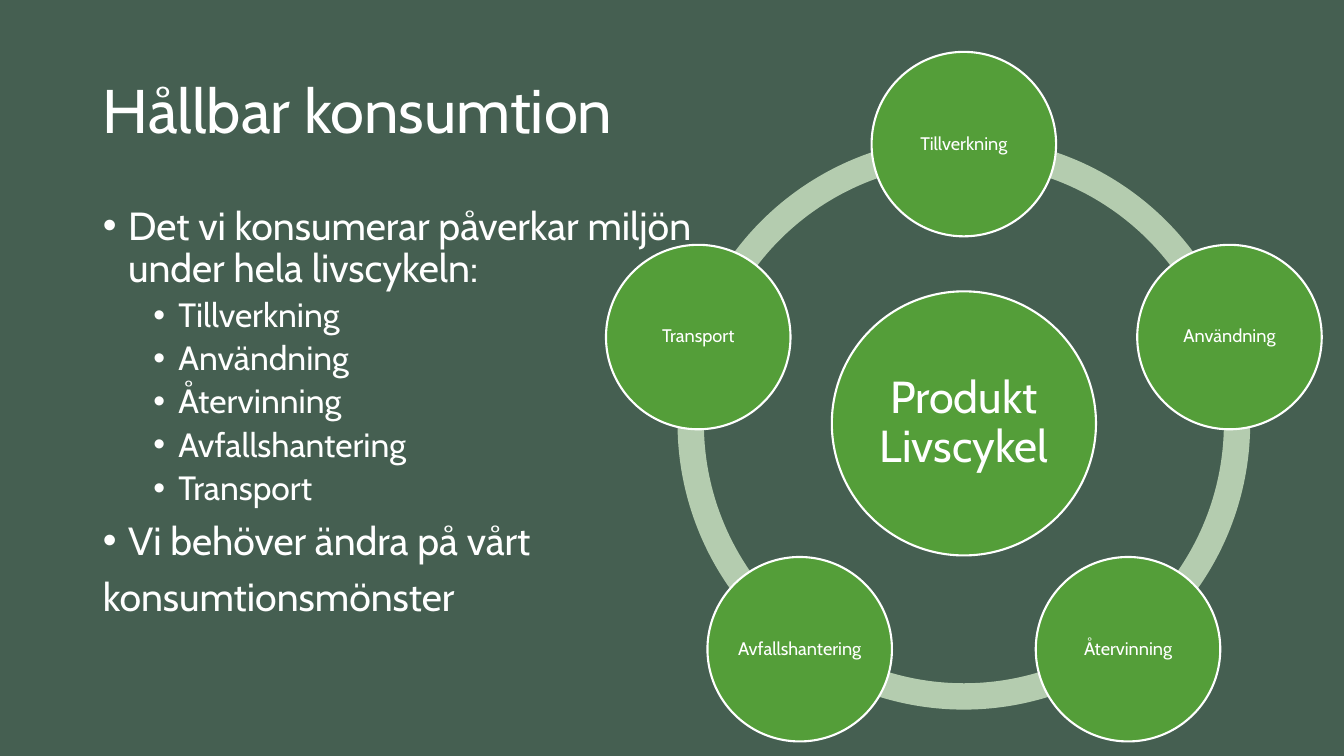
from dataclasses import dataclass
from math import cos, radians, sin

from lxml.etree import SubElement
from pptx import Presentation
from pptx.dml.color import RGBColor
from pptx.enum.shapes import MSO_SHAPE
from pptx.enum.text import MSO_ANCHOR, MSO_AUTO_SIZE, PP_ALIGN
from pptx.oxml.ns import qn
from pptx.util import Inches, Pt


@dataclass(frozen=True)
class Theme:
    """Colours, font and type sizes of the slide."""
    back: str = "455F51"
    text: str = "FFFFFF"
    node: str = "549E39"
    ring: str = "B4CCAF"
    font: str = "Cabin"
    title: int = 44
    body: int = 28
    sub: int = 24
    hub: int = 32
    label: int = 13


THEME = Theme()


def write(para, text, size, align=PP_ALIGN.LEFT, before=0, left=0, bullet=None):
    """Fill a paragraph with formatted text."""
    props = para._p.get_or_add_pPr()
    props.set("marL", str(Inches(left)))
    props.set("indent", str(Inches(-0.25 if bullet else 0)))
    if bullet:
        SubElement(props, qn("a:buChar")).set("char", bullet)
    else:
        SubElement(props, qn("a:buNone"))
    para.alignment = align
    para.line_spacing = 0.9
    para.space_before = Pt(before)
    run = para.add_run()
    run.text = text
    run.font.name = THEME.font
    run.font.size = Pt(size)
    run.font.color.rgb = RGBColor.from_string(THEME.text)


class Board:
    """Draws the elements of one slide in a given theme."""

    def __init__(self, slide, theme):
        """Keep the slide and theme and paint the background."""
        self.slide, self.theme = slide, theme
        fill = slide.background.fill
        fill.solid()
        fill.fore_color.rgb = RGBColor.from_string(theme.back)

    def place(self, holder, box, anchor):
        """Move a placeholder and return its text frame."""
        holder.left, holder.top, holder.width, holder.height = map(Inches, box)
        frame = holder.text_frame
        frame.word_wrap = True
        frame.auto_size = MSO_AUTO_SIZE.NONE
        frame.vertical_anchor = anchor
        return frame

    def title(self, text, box):
        """Write the title."""
        frame = self.place(self.slide.shapes.title, box, MSO_ANCHOR.MIDDLE)
        write(frame.paragraphs[0], text, self.theme.title)

    def body(self, items, box):
        """Write the list from pairs of style and text."""
        styles = {
            "main": dict(size=self.theme.body, before=10, left=0.25, bullet="•"),
            "sub": dict(size=self.theme.sub, before=5, left=0.75, bullet="•"),
            "plain": dict(size=self.theme.body, before=10),
        }
        frame = self.place(self.slide.placeholders[1], box, MSO_ANCHOR.TOP)
        for i, (kind, text) in enumerate(items):
            para = frame.add_paragraph() if i else frame.paragraphs[0]
            para.level = int(kind == "sub")
            style = styles[kind] if i else {**styles[kind], "before": 0}
            write(para, text, **style)

    def round(self, kind, x, y, size, color):
        """Add a filled square-framed shape centred on a point."""
        shape = self.slide.shapes.add_shape(
            kind, Inches(x - size / 2), Inches(y - size / 2), Inches(size), Inches(size))
        shape.shadow.inherit = False
        shape.fill.solid()
        shape.fill.fore_color.rgb = RGBColor.from_string(color)
        shape.line.fill.background()
        return shape

    def arc(self, x, y, size, start, end):
        """Add one ring segment between two angles in degrees."""
        shape = self.round(MSO_SHAPE.BLOCK_ARC, x, y, size, self.theme.ring)
        for i, value in enumerate((start % 360 * 0.6, end % 360 * 0.6, 0.046)):
            shape.adjustments[i] = value

    def node(self, text, x, y, size, type_size, inset):
        """Add a labelled circle."""
        shape = self.round(MSO_SHAPE.OVAL, x, y, size, self.theme.node)
        shape.line.color.rgb = RGBColor.from_string(self.theme.text)
        shape.line.width = Pt(1.5)
        frame = shape.text_frame
        frame.word_wrap = True
        frame.vertical_anchor = MSO_ANCHOR.MIDDLE
        frame.margin_left = frame.margin_right = Inches(inset)
        frame.margin_top = frame.margin_bottom = Inches(inset)
        write(frame.paragraphs[0], text, type_size, align=PP_ALIGN.CENTER)

    def cycle(self, hub, labels, x, y, radius):
        """Draw the ring, the hub and evenly spaced nodes."""
        step = 360 / len(labels)
        turns = [270 + step * i for i in range(len(labels))]
        for turn in turns:
            self.arc(x, y, 5.68, turn, turn + step)
        self.node(hub, x, y, 2.62, self.theme.hub, 0.04)
        for label, turn in zip(labels, turns):
            angle = radians(turn)
            self.node(label, x + radius * cos(angle), y + radius * sin(angle),
                      1.83, self.theme.label, 0.02)


def main():
    """Build and save the slide."""
    deck = Presentation()
    deck.slide_width, deck.slide_height = Inches(13.33), Inches(7.5)
    board = Board(deck.slides.add_slide(deck.slide_layouts[1]), THEME)
    stages = ["Tillverkning", "Användning", "Återvinning", "Avfallshantering", "Transport"]
    board.title("Hållbar konsumtion", (0.92, 0.4, 11.5, 1.45))
    board.body([
        ("main", "Det vi konsumerar påverkar miljön under hela livscykeln:"),
        *(("sub", stage) for stage in stages),
        ("main", "Vi behöver ändra på vårt"),
        ("plain", "konsumtionsmönster"),
    ], (0.92, 2, 6.43, 4.76))
    board.cycle("Produkt Livscykel", stages, 9.56, 4.2, 2.77)
    deck.save("out.pptx")


if __name__ == "__main__":
    main()
